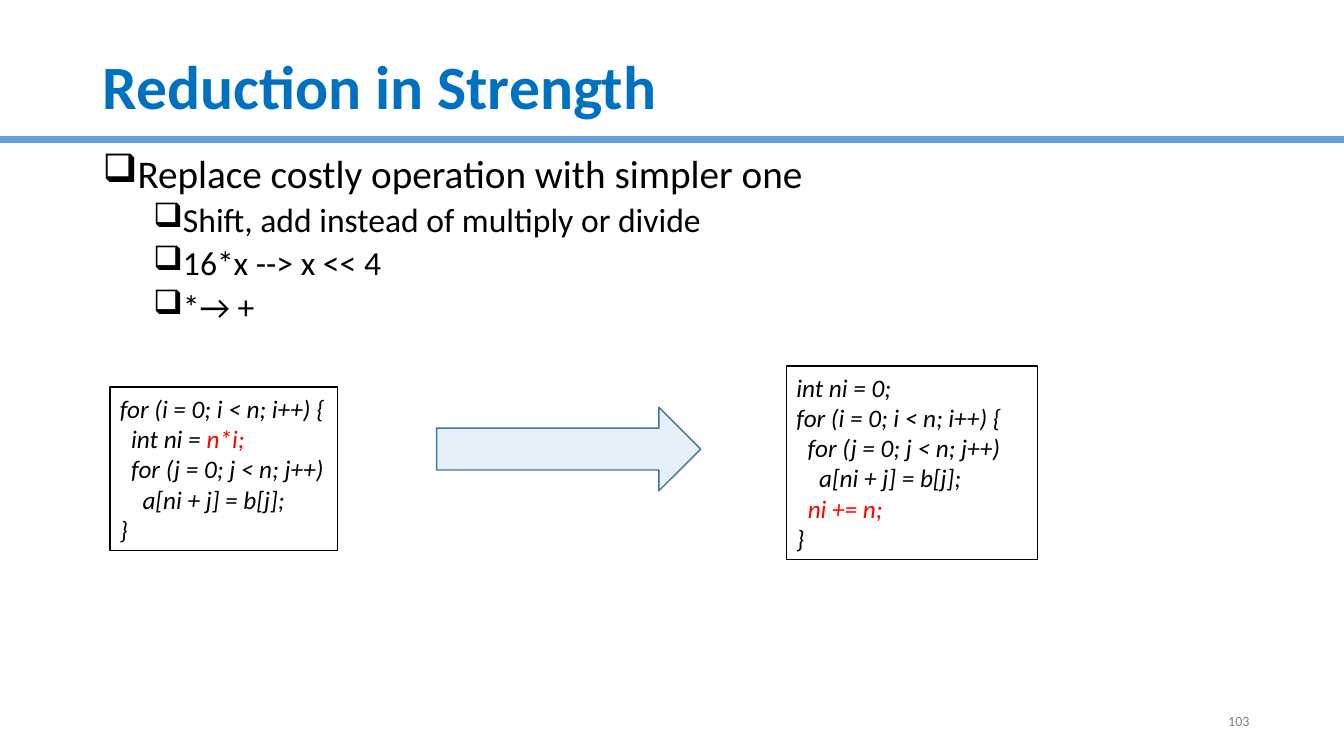
"""Builds the slide on reduction in strength."""
from lxml import etree
from pptx import Presentation
from pptx.dml.color import RGBColor
from pptx.enum.shapes import MSO_CONNECTOR, MSO_SHAPE
from pptx.enum.text import MSO_ANCHOR, MSO_AUTO_SIZE, PP_ALIGN
from pptx.oxml.ns import qn
from pptx.util import Inches, Pt

BLUE = RGBColor(0x00, 0x70, 0xC0)
RULE_BLUE = RGBColor(0x63, 0xA0, 0xD7)
ARROW_EDGE = RGBColor(0x43, 0x73, 0x9E)
BLACK = RGBColor(0x00, 0x00, 0x00)
RED = RGBColor(0xFF, 0x00, 0x00)
GRAY = RGBColor(0x80, 0x80, 0x80)
LEFT, CONTENT_WIDTH, RULE_TOP = 0.92, 11.5, 1.38


def box(left, top, width, height):
    return [Inches(length) for length in (left, top, width, height)]


def add_run(paragraph, text, size, color, bold=False, italic=False):
    run = paragraph.add_run()
    run.text = text
    run.font.name = "Calibri"
    run.font.size = Pt(size)
    run.font.bold = bold
    run.font.italic = italic
    run.font.color.rgb = color


presentation = Presentation()
presentation.slide_width = Inches(13.33)
presentation.slide_height = Inches(7.5)
slide = presentation.slides.add_slide(presentation.slide_layouts[5])

rule = slide.shapes.add_connector(
    MSO_CONNECTOR.STRAIGHT, presentation.slide_width, Inches(RULE_TOP), 0, Inches(RULE_TOP))
rule.line.color.rgb = RULE_BLUE
rule.line.width = Pt(5)
etree.SubElement(rule._element.spPr, qn("a:effectLst"))

title = slide.shapes.title
title.left, title.top, title.width, title.height = box(LEFT, 0.4, CONTENT_WIDTH, 0.98)
title.text_frame.vertical_anchor = MSO_ANCHOR.MIDDLE
heading = title.text_frame.paragraphs[0]
heading.alignment = PP_ALIGN.LEFT
heading.line_spacing = 0.9
add_run(heading, "Reduction in Strength", 44, BLUE, bold=True)

points = [
    (0, "Replace costly operation with simpler one"),
    (1, "Shift, add instead of multiply or divide"),
    (1, "16*x --> x << 4"),
    (1, "*→ +"),
]
body = slide.shapes.add_textbox(*box(LEFT, 1.48, CONTENT_WIDTH, 3.41)).text_frame
body.word_wrap = True
for index, (level, text) in enumerate(points):
    paragraph = body.add_paragraph() if index else body.paragraphs[0]
    paragraph.level = level
    paragraph.line_spacing = 0.9
    if index:
        paragraph.space_before = Pt(5)
    properties = paragraph._p.get_or_add_pPr()
    properties.set("marL", str(Inches(0.25 + 0.5 * level)))
    properties.set("indent", str(Inches(-0.25)))
    etree.SubElement(properties, qn("a:buChar"), char="❑")
    add_run(paragraph, text, 28 - 4 * level, BLACK)

number = slide.shapes.add_textbox(*box(9.49, 6.95, 3, 0.4)).text_frame
number.word_wrap = True
number.vertical_anchor = MSO_ANCHOR.MIDDLE
number.paragraphs[0].alignment = PP_ALIGN.RIGHT
add_run(number.paragraphs[0], "103", 10, GRAY)

listings = [
    (box(1.09, 3.84, 2.26, 1.62), False, [
        [("for (i = 0; i < n; i++) {", BLACK)],
        [("  int ni = ", BLACK), ("n*i;", RED)],
        [("  for (j = 0; j < n; j++)", BLACK)],
        [("    a[ni + j] = b[j];", BLACK)],
        [("}", BLACK)],
    ]),
    (box(7.8, 3.63, 2.49, 1.92), True, [
        [("int ni = 0;", BLACK)],
        [("for (i = 0; i < n; i++) {", BLACK)],
        [("  for (j = 0; j < n; j++)", BLACK)],
        [("    a[ni + j] = b[j];", BLACK)],
        [("  ", BLACK), ("ni += n;", RED)],
        [("}", BLACK)],
    ]),
]
for place, wrap, lines in listings:
    listing = slide.shapes.add_shape(MSO_SHAPE.RECTANGLE, *place)
    listing.shadow.inherit = False
    listing.fill.background()
    listing.line.color.rgb = BLACK
    listing.line.width = Pt(1)
    frame = listing.text_frame
    frame.word_wrap = wrap
    frame.auto_size = MSO_AUTO_SIZE.SHAPE_TO_FIT_TEXT
    frame.vertical_anchor = MSO_ANCHOR.MIDDLE
    for index, line in enumerate(lines):
        paragraph = frame.add_paragraph() if index else frame.paragraphs[0]
        paragraph.alignment = PP_ALIGN.LEFT
        for text, color in line:
            add_run(paragraph, text, 18, color, italic=True)

arrow = slide.shapes.add_shape(MSO_SHAPE.RIGHT_ARROW, *box(4.33, 4.04, 2.62, 0.83))
arrow.shadow.inherit = False
arrow.fill.solid()
arrow.fill.fore_color.rgb = BLUE
fill_color = arrow._element.spPr.find(qn("a:solidFill")).find(qn("a:srgbClr"))
etree.SubElement(fill_color, qn("a:alpha"), val="10000")
arrow.line.color.rgb = ARROW_EDGE
arrow.line.width = Pt(1)

presentation.save("out.pptx")
